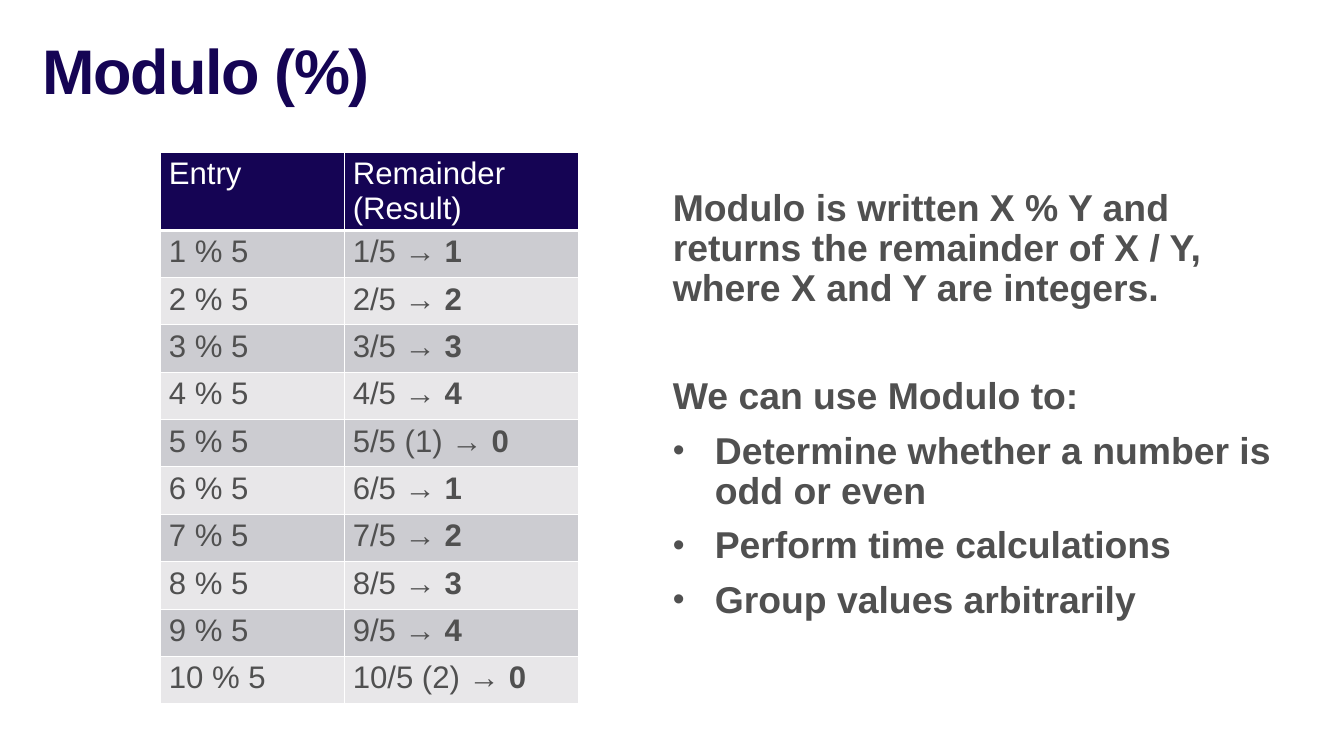
from lxml import etree
from pptx import Presentation
from pptx.dml.color import RGBColor
from pptx.enum.text import MSO_ANCHOR, MSO_AUTO_SIZE, PP_ALIGN
from pptx.oxml.ns import qn
from pptx.util import Inches, Pt

TOP = MSO_ANCHOR.TOP
NO_AUTOFIT = MSO_AUTO_SIZE.NONE
LEFT = PP_ALIGN.LEFT

FONT = "Arial"
NAVY, GRAY, WHITE = "150454", "505050", "FFFFFF"
BANDS = ("CCCCD1", "E8E7E9")

TITLE = "Modulo (%)"
# text, bulleted, space before in points
BODY = [
    ("Modulo is written X % Y and returns the remainder of X / Y, "
     "where X and Y are integers.", False, 0),
    ("We can use Modulo to:", False, 58),
    ("Determine whether a number is odd or even", True, 12),
    ("Perform time calculations", True, 12),
    ("Group values arbitrarily", True, 12),
]
HEADER = ("Entry", "Remainder (Result)")
# entry, division, remainder
ROWS = [
    ("1 % 5", "1/5", "1"),
    ("2 % 5", "2/5", "2"),
    ("3 % 5", "3/5", "3"),
    ("4 % 5", "4/5", "4"),
    ("5 % 5", "5/5 (1)", "0"),
    ("6 % 5", "6/5", "1"),
    ("7 % 5", "7/5", "2"),
    ("8 % 5", "8/5", "3"),
    ("9 % 5", "9/5", "4"),
    ("10 % 5", "10/5 (2)", "0"),
]
COLUMN_WIDTHS = (2.19, 2.79)
HEADER_HEIGHT = 0.92
ROWS_HEIGHT = 5.64


def color(value):
    return RGBColor.from_string(value)


def style_run(run, size, value, bold=False):
    run.font.name = FONT
    run.font.size = Pt(size)
    run.font.bold = bold
    run.font.color.rgb = color(value)


def place(shape, left, top, width, height):
    """Position a text placeholder and set its frame."""
    shape.left, shape.top = Inches(left), Inches(top)
    shape.width, shape.height = Inches(width), Inches(height)
    frame = shape.text_frame
    frame.word_wrap = True
    frame.auto_size = NO_AUTOFIT
    frame.vertical_anchor = TOP
    frame.margin_left = frame.margin_right = Inches(0.16)
    frame.margin_top = frame.margin_bottom = Inches(0.1)
    return frame


def set_bullet(paragraph, bulleted):
    properties = paragraph._p.get_or_add_pPr()
    indent = Inches(0.5) if bulleted else 0
    properties.set("marL", str(indent))
    properties.set("indent", str(-indent))
    if bulleted:
        etree.SubElement(properties, qn("a:buSzPct"), val="90000")
        etree.SubElement(properties, qn("a:buFont"), typeface=FONT)
        etree.SubElement(properties, qn("a:buChar"), char="•")
    else:
        etree.SubElement(properties, qn("a:buNone"))


def style_cell(cell, fill, bottom_width=1):
    properties = cell._tc.get_or_add_tcPr()
    for side, width in (("L", 1), ("R", 1), ("T", 1), ("B", bottom_width)):
        line = etree.SubElement(properties, qn(f"a:ln{side}"), w=str(Pt(width)))
        solid = etree.SubElement(line, qn("a:solidFill"))
        etree.SubElement(solid, qn("a:srgbClr"), val=WHITE)
    cell.fill.solid()
    cell.fill.fore_color.rgb = color(fill)


def add_title(slide):
    frame = place(slide.shapes.title, 0.35, 0.38, 15.3, 1.18)
    frame.text = TITLE
    paragraph = frame.paragraphs[0]
    paragraph.alignment = LEFT
    paragraph.line_spacing = 0.9
    run = paragraph.runs[0]
    style_run(run, 54, NAVY, bold=True)
    run.font._element.set("spc", "-120")


def add_body(slide):
    frame = place(slide.placeholders[1], 7.85, 2.15, 7.46, 4.9)
    frame.text = "\n".join(text for text, _, _ in BODY)
    for paragraph, (_, bulleted, space) in zip(frame.paragraphs, BODY):
        paragraph.line_spacing = 0.9
        paragraph.space_before = Pt(space)
        set_bullet(paragraph, bulleted)
        style_run(paragraph.runs[0], 32, GRAY, bold=True)


def add_modulo_table(slide):
    table = slide.shapes.add_table(
        len(ROWS) + 1, len(HEADER), Inches(1.91), Inches(1.81),
        Inches(sum(COLUMN_WIDTHS)), Inches(HEADER_HEIGHT + ROWS_HEIGHT)).table
    for column, width in zip(table.columns, COLUMN_WIDTHS):
        column.width = Inches(width)
    for index, row in enumerate(table.rows):
        row.height = Inches(ROWS_HEIGHT / len(ROWS) if index else HEADER_HEIGHT)

    for column, text in enumerate(HEADER):
        cell = table.cell(0, column)
        cell.text = text
        style_cell(cell, NAVY, bottom_width=3)
        style_run(cell.text_frame.paragraphs[0].runs[0], 26.7, WHITE)

    for index, (entry, division, remainder) in enumerate(ROWS):
        entry_cell, result_cell = table.rows[index + 1].cells
        entry_cell.text = entry
        result_cell.text = f"{division} → "
        result = result_cell.text_frame.paragraphs[0]
        for cell in (entry_cell, result_cell):
            style_cell(cell, BANDS[index % 2])
            style_run(cell.text_frame.paragraphs[0].runs[0], 26.7, GRAY)
        remainder_run = result.add_run()
        remainder_run.text = remainder
        style_run(remainder_run, 26.7, GRAY, bold=True)


def main():
    presentation = Presentation()
    presentation.slide_width, presentation.slide_height = Inches(16), Inches(9)
    slide = presentation.slides.add_slide(presentation.slide_layouts[1])
    add_title(slide)
    add_body(slide)
    add_modulo_table(slide)
    presentation.save("out.pptx")


if __name__ == "__main__":
    main()
